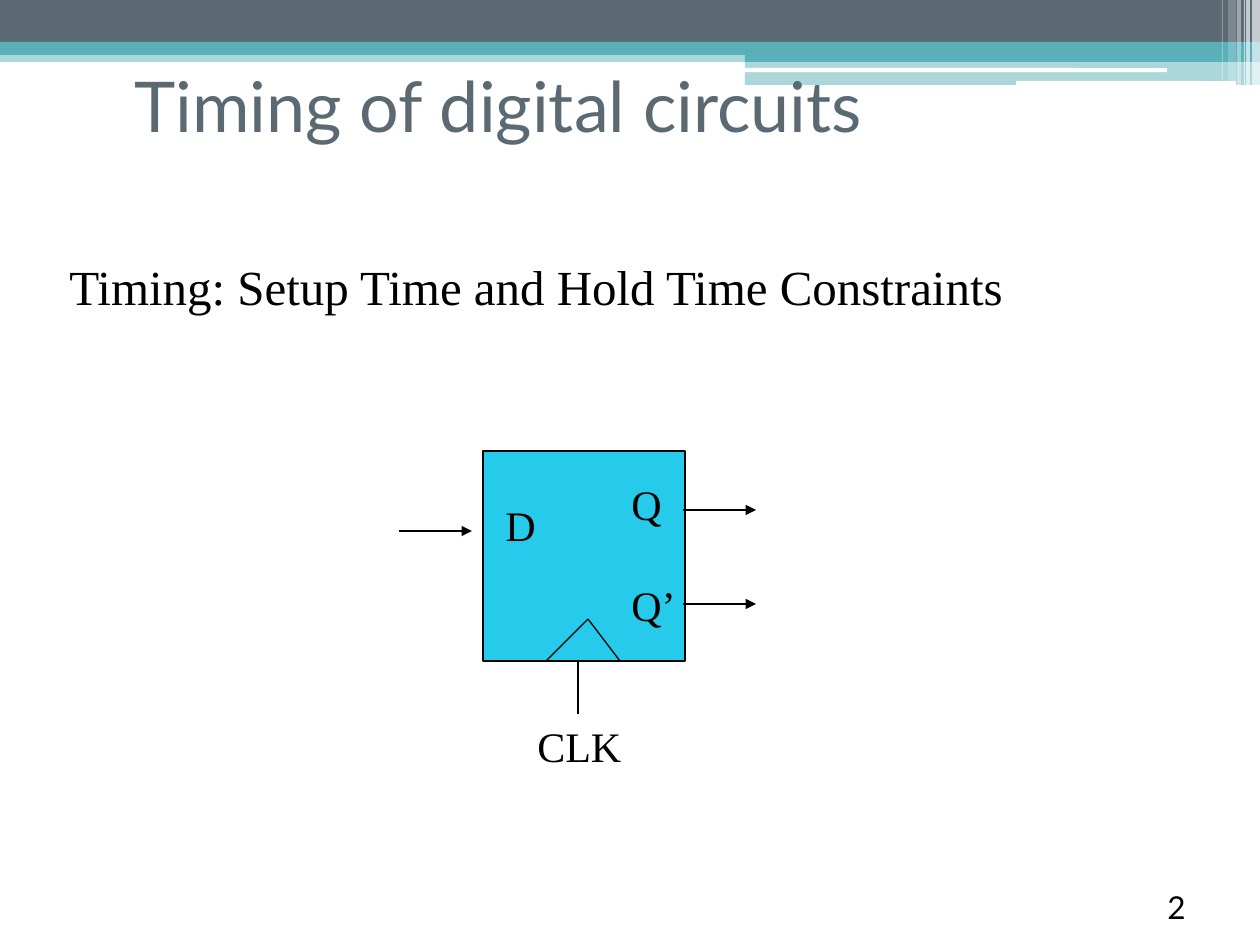
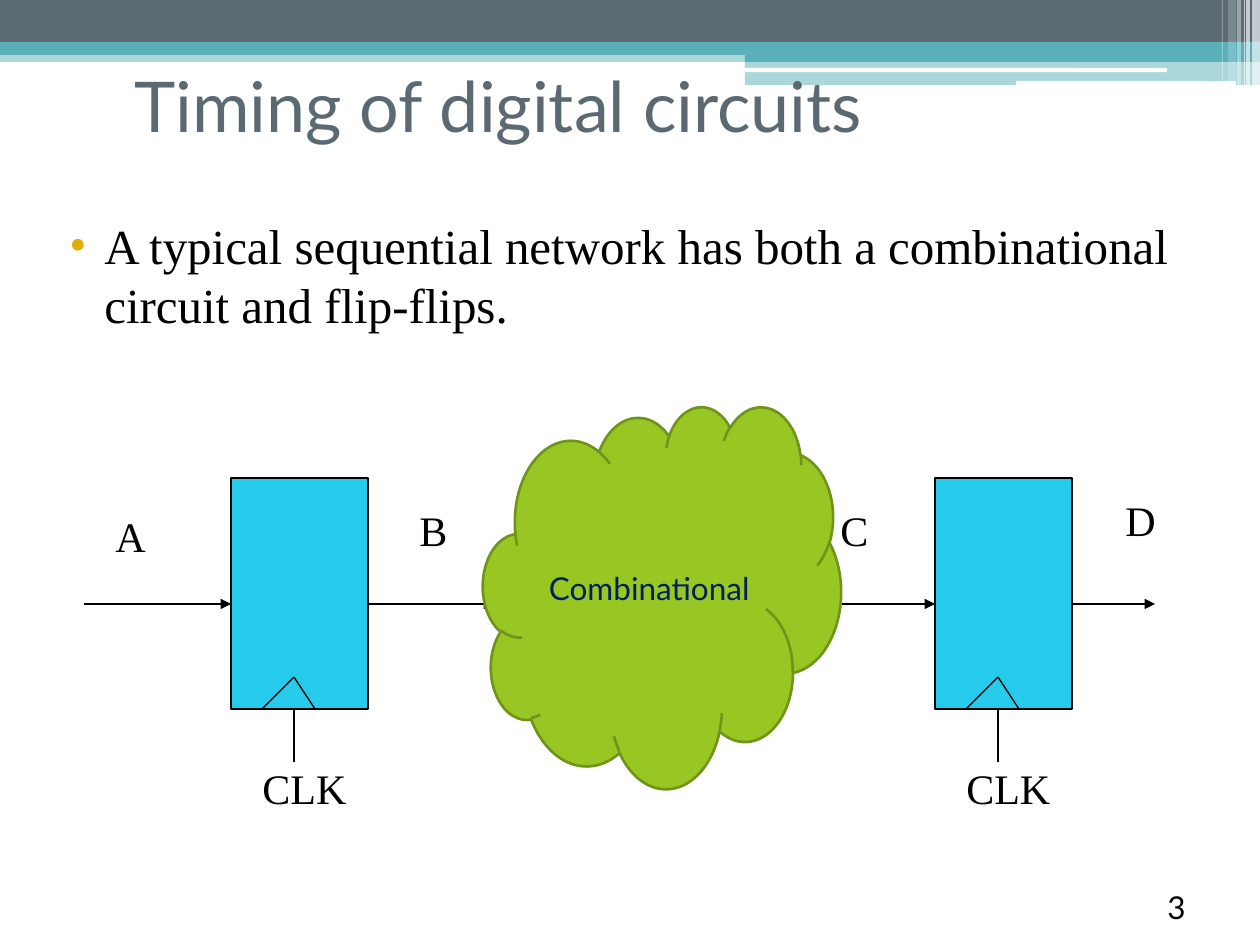
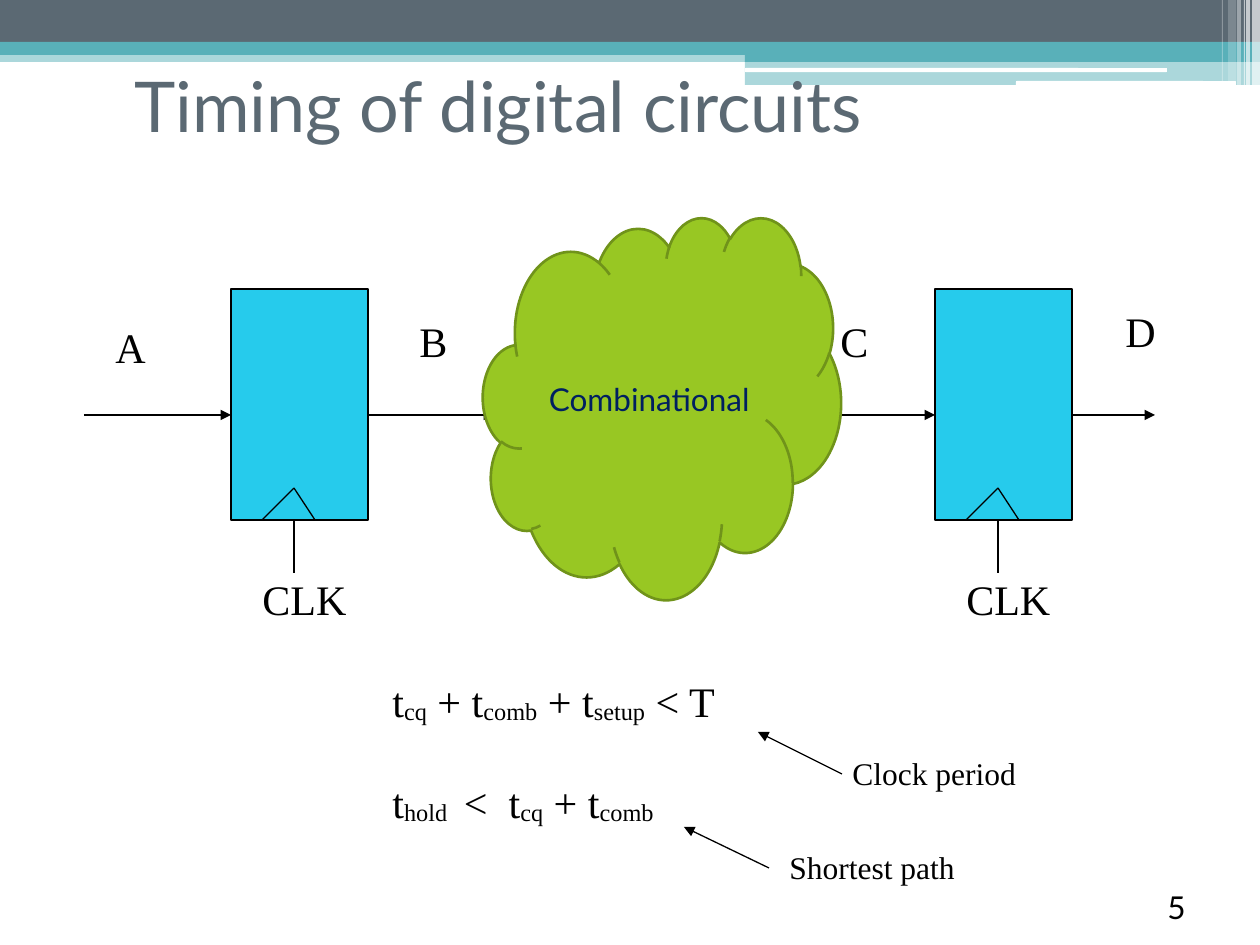
from lxml import etree
from pptx import Presentation
from pptx import util as u
from pptx.dml.color import RGBColor
from pptx.enum import shapes, text
from pptx.oxml.ns import qn

PX = 914400 / 126
SLATE = RGBColor(0x5B, 0x69, 0x73)
TEAL = RGBColor(0x59, 0xB0, 0xB9)
WHITE = RGBColor(0xFF, 0xFF, 0xFF)
BLACK = RGBColor(0, 0, 0)
CYAN = RGBColor(0x26, 0xCB, 0xEC)
GREEN = RGBColor(0x98, 0xC7, 0x23)
DARK_GREEN = RGBColor(0x70, 0x93, 0x1A)
NAVY = RGBColor(0, 0x20, 0x60)
GOLD = RGBColor(0xDE, 0xAE, 0)
SANS, SERIF = "Lato", "Times New Roman"
RECT = shapes.MSO_SHAPE.RECTANGLE
ROUND = shapes.MSO_SHAPE.ROUNDED_RECTANGLE
CLOUD = shapes.MSO_SHAPE.CLOUD
TOP, MIDDLE, BOTTOM = (text.MSO_ANCHOR.TOP, text.MSO_ANCHOR.MIDDLE,
                       text.MSO_ANCHOR.BOTTOM)
CENTER = text.PP_ALIGN.CENTER

BANDS = [
    (RECT, 0, 50, 1260, 12, TEAL, 50),
    (RECT, 0, 0, 1260, 42, SLATE, 100),
    (RECT, 0, 42, 1260, 13, TEAL, 100),
    (RECT, 745, 49, 515, 13, TEAL, 100),
    (RECT, 745, 61, 515, 24, TEAL, 50),
    (ROUND, 745, 68, 422, 4, WHITE, 100),
    (ROUND, 1016, 81, 220, 5, WHITE, 100),
    (RECT, 1252, 0, 8, 86, WHITE, 65),
    (RECT, 1246, 0, 4, 86, WHITE, 65),
    (RECT, 1244, 0, 1, 86, WHITE, 60),
    (RECT, 1237, 0, 4, 86, WHITE, 40),
    (RECT, 1228, 0, 8, 81, WHITE, 20),
    (RECT, 1222, 0, 1, 81, WHITE, 30),
]


def px(*values):
    return [u.Emu(round(v * PX)) for v in values]


def add_block(s, kind, x, y, w, h, fill, alpha=100, line=None, width=0.75):
    sp = s.shapes.add_shape(kind, *px(x, y, w, h))
    sp.shadow.inherit = False
    sp.fill.solid()
    sp.fill.fore_color.rgb = fill
    if alpha < 100:
        color = sp.fill._xPr.find(".//" + qn("a:srgbClr"))
        etree.SubElement(color, qn("a:alpha"), val=str(alpha * 1000))
    if line is None:
        sp.line.fill.background()
    else:
        sp.line.color.rgb = line
        sp.line.width = u.Pt(width)
    return sp


def add_line(s, x1, y1, x2, y2, width=0.75, arrow=False):
    sp = s.shapes.add_connector(shapes.MSO_CONNECTOR.STRAIGHT,
                                *px(x1, y1, x2, y2))
    sp.line.color.rgb = BLACK
    sp.line.width = u.Pt(width)
    if arrow:
        etree.SubElement(sp.line._get_or_add_ln(), qn("a:tailEnd"),
                         type="triangle")
    etree.SubElement(sp._element.spPr, qn("a:effectLst"))


def write(p, runs, size, font, color):
    for value, is_sub in runs:
        r = p.add_run()
        r.text = value
        r.font.size = u.Pt(size)
        r.font.name = font
        r.font.color.rgb = color
        if is_sub:
            r._r.get_or_add_rPr().set("baseline", "-8000")


def add_text(s, x, y, w, h, *lines, size=24, font=SERIF, color=BLACK,
             anchor=TOP, align=None, wrap=False, gap=29):
    sp = s.shapes.add_textbox(*px(x, y, w, h))
    tf = sp.text_frame
    tf.word_wrap = wrap
    tf.auto_size = (text.MSO_AUTO_SIZE.NONE if wrap
                    else text.MSO_AUTO_SIZE.SHAPE_TO_FIT_TEXT)
    tf.vertical_anchor = anchor
    for i, line in enumerate(lines):
        p = tf.add_paragraph() if i else tf.paragraphs[0]
        if i:
            p.space_before = u.Pt(gap)
        if align:
            p.alignment = align
        runs = [(line, False)] if isinstance(line, str) else line
        write(p, runs, size, font, color)
    return tf


def add_body(s, value, top_inset=6, bullet=False):
    tf = add_text(s, 42, 210, 1187, 672, value, size=28, wrap=True)
    tf.margin_top, = px(top_inset)
    pPr = tf.paragraphs[0]._p.get_or_add_pPr()
    left, indent = px(50, -35)
    pPr.set("marL", str(left))
    pPr.set("indent", str(indent))
    if bullet:
        color = etree.SubElement(pPr, qn("a:buClr"))
        etree.SubElement(color, qn("a:srgbClr"), val=str(GOLD))
        etree.SubElement(pPr, qn("a:buFont"), typeface=SERIF)
        etree.SubElement(pPr, qn("a:buChar"), char="•")


def add_base(prs, number):
    s = prs.slides.add_slide(prs.slide_layouts[6])
    for kind, x, y, w, h, fill, alpha in BANDS:
        add_block(s, kind, x, y, w, h, fill, alpha)
    add_text(s, 122, 19, 1043, 170, "Timing of digital circuits", size=40,
             font=SANS, color=SLATE, anchor=MIDDLE, wrap=True)
    add_text(s, 1124, 882, 105, 50, str(number), size=18, font=SANS,
             anchor=BOTTOM, align=CENTER, wrap=True)
    return s


def add_flip_flop(s, x, y, w, h, notch, rise, stem, clk, width):
    add_block(s, RECT, x, y, w, h, CYAN, line=BLACK)
    base = y + h
    left, peak, right = (x + dx for dx in notch)
    add_line(s, left, base, peak, base - rise)
    add_line(s, peak, base - rise, right, base)
    add_line(s, x + stem, base, x + stem, base + 53, width)
    add_text(s, x + clk[0], base + clk[1], 110, 63, "CLK")


def add_network(s, y):
    for x in (231, 935):
        add_flip_flop(s, x, y, 137, 231, (31, 63, 84), 32, 63, (19, 47), 1.5)
    for x1, x2 in ((1071, 1155), (809, 935), (368, 494), (84, 231)):
        add_line(s, x1, y + 126, x2, y + 126, 1.5, arrow=True)
    for name, x, dy, w in (("A", 103, 26, 55), ("B", 407, 20, 53),
                           ("C", 828, 20, 53), ("D", 1113, 10, 55)):
        add_text(s, x, y + dy, w, 63, name)
    sp = add_block(s, CLOUD, 483, y - 72, 358, 382, GREEN,
                   line=DARK_GREEN, width=1.5)
    tf = sp.text_frame
    tf.vertical_anchor = MIDDLE
    p = tf.paragraphs[0]
    p.alignment = CENTER
    write(p, [("Combinational", False)], 18, SANS, NAVY)


def add_callout(s, value, x, y, w, tip, tail):
    add_line(s, *tail, *tip, arrow=True)
    add_text(s, x, y, w, 50, value, size=18, wrap=True)


def add_constraint_slide(prs):
    s = add_base(prs, 2)
    add_body(s, "Timing: Setup Time and Hold Time Constraints", top_inset=47)
    add_flip_flop(s, 483, 451, 202, 210, (63, 105, 137), 42, 95, (42, 53), 0.75)
    add_text(s, 493, 493, 84, 63, "D")
    add_text(s, 619, 472, 84, 164, "Q", "Q’", wrap=True)
    for x, y in ((683, 604), (683, 510), (399, 531)):
        add_line(s, x, y, x + 73, y, arrow=True)


def add_network_slide(prs):
    s = add_base(prs, 3)
    add_body(s, "A typical sequential network has both a combinational "
                "circuit and flip-flips.", bullet=True)
    add_network(s, 478)


def add_formula_slide(prs):
    s = add_base(prs, 5)
    add_network(s, 289)
    setup = [("t", False), ("cq", True), (" + t", False), ("comb", True),
             (" + t", False), ("setup", True), (" < T", False)]
    hold = [("t", False), ("hold ", True), (" <  t", False), ("cq", True),
            (" + t", False), ("comb", True)]
    add_text(s, 380, 669, 370, 165, setup, hold)
    add_callout(s, "Clock period", 840, 748, 210, (758, 732), (842, 774))
    add_callout(s, "Shortest path", 777, 842, 210, (684, 827), (769, 868))


def main():
    prs = Presentation()
    prs.slide_width, prs.slide_height = px(1260, 945)
    add_constraint_slide(prs)
    add_network_slide(prs)
    add_formula_slide(prs)
    prs.save("out.pptx")


if __name__ == "__main__":
    main()
